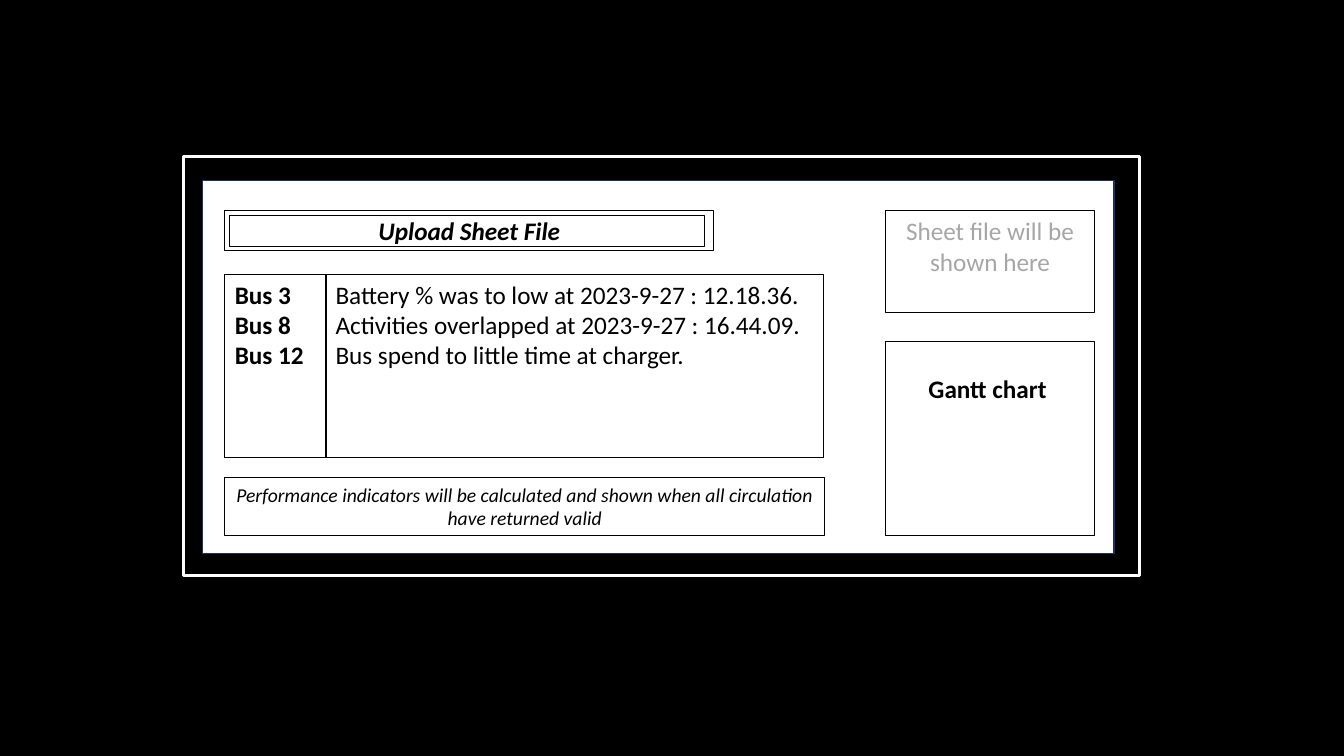
from pptx import Presentation
from pptx.dml.color import RGBColor
from pptx.enum.shapes import MSO_SHAPE
from pptx.enum.text import MSO_ANCHOR, PP_ALIGN
from pptx.util import Inches, Pt

RECTANGLE = MSO_SHAPE.RECTANGLE
TOP = MSO_ANCHOR.TOP
LEFT, CENTER = PP_ALIGN.LEFT, PP_ALIGN.CENTER

BLACK = RGBColor(0x00, 0x00, 0x00)
WHITE = RGBColor(0xFF, 0xFF, 0xFF)
NAVY = RGBColor(0x1E, 0x32, 0x56)
GRAY = RGBColor(0xA6, 0xA6, 0xA6)

BLANK_LAYOUT = 6
LEFT_COLUMN, RIGHT_COLUMN = 2.23, 8.78
RIGHT_WIDTH = 2.08
MESSAGES_TOP, MESSAGES_HEIGHT = 2.72, 1.82


def add_panel(slide, box, line_color=BLACK, line_width=0.75, fill_color=None):
    shape = slide.shapes.add_shape(RECTANGLE, *map(Inches, box))
    shape.shadow.inherit = False
    if fill_color is None:
        shape.fill.background()
    else:
        shape.fill.solid()
        shape.fill.fore_color.rgb = fill_color
    shape.line.color.rgb = line_color
    shape.line.width = Pt(line_width)
    return shape


def write_lines(shape, lines, alignment=LEFT, color=BLACK, size=18, **formats):
    text_frame = shape.text_frame
    text_frame.word_wrap = True
    text_frame.vertical_anchor = TOP
    text_frame.text = "\n".join(lines)
    font_values = {"name": "Calibri", "size": Pt(size), **formats}
    for paragraph in text_frame.paragraphs:
        paragraph.alignment = alignment
        for run in paragraph.runs:
            run.font.color.rgb = color
            for attribute, value in font_values.items():
                setattr(run.font, attribute, value)


def add_window(slide):
    add_panel(slide, (2.01, 1.79, 9.04, 3.7), NAVY, 1, WHITE)
    add_panel(slide, (1.82, 1.55, 9.48, 4.16), WHITE, 2.25)


def add_upload_button(slide):
    button = add_panel(slide, (LEFT_COLUMN, 2.09, 4.85, 0.4))
    write_lines(button, ["Upload Sheet File"], CENTER, bold=True, italic=True)
    add_panel(slide, (2.28, 2.14, 4.71, 0.31))


def add_messages(slide):
    buses = add_panel(slide, (LEFT_COLUMN, MESSAGES_TOP, 1.01, MESSAGES_HEIGHT))
    write_lines(buses, ["Bus 3", "Bus 8", "Bus 12"], bold=True)
    messages = add_panel(slide, (3.23, MESSAGES_TOP, 4.94, MESSAGES_HEIGHT))
    write_lines(messages, [
        "Battery % was to low at 2023-9-27 : 12.18.36.",
        "Activities overlapped at 2023-9-27 : 16.44.09.",
        "Bus spend to little time at charger.",
    ])


def add_indicators(slide):
    indicators = add_panel(slide, (LEFT_COLUMN, 4.74, 5.95, 0.57))
    write_lines(indicators, [
        "Performance indicators will be calculated and shown when all "
        "circulation have returned valid",
    ], CENTER, size=14, italic=True)


def add_previews(slide):
    file_preview = add_panel(slide, (RIGHT_COLUMN, 2.09, RIGHT_WIDTH, 1.01))
    write_lines(file_preview, ["Sheet file will be shown here"], CENTER, GRAY)
    add_panel(slide, (RIGHT_COLUMN, 3.39, RIGHT_WIDTH, 1.92))
    chart_label = slide.shapes.add_textbox(*map(Inches, (8.89, 3.65, 1.81, 0.4)))
    write_lines(chart_label, ["Gantt chart"], CENTER, bold=True)


def main():
    presentation = Presentation()
    presentation.slide_width = Inches(13.33)
    presentation.slide_height = Inches(7.5)
    slide = presentation.slides.add_slide(presentation.slide_layouts[BLANK_LAYOUT])
    slide.background.fill.solid()
    slide.background.fill.fore_color.rgb = BLACK
    add_window(slide)
    add_upload_button(slide)
    add_messages(slide)
    add_indicators(slide)
    add_previews(slide)
    presentation.save("out.pptx")


if __name__ == "__main__":
    main()
